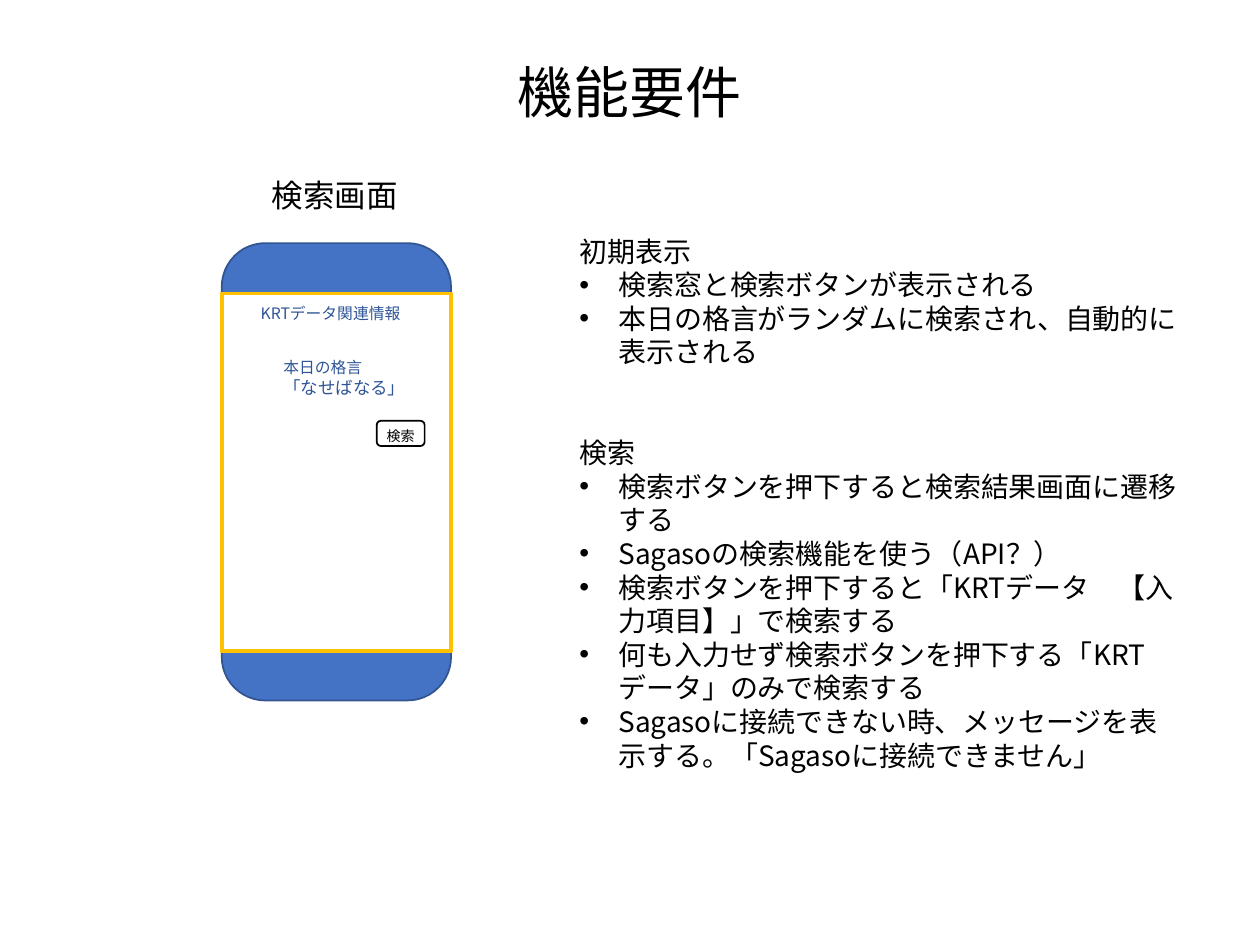
import pptx
import pptx.util
import pptx.dml.color
import pptx.enum.shapes
import pptx.enum.text
from lxml import etree
from pptx.oxml.ns import qn

FONT = "Noto Sans CJK JP"
LINE_FACTOR = 1.2
INDENT = 0.31
Inches, Pt = pptx.util.Inches, pptx.util.Pt
Shape = pptx.enum.shapes.MSO_SHAPE
Align = pptx.enum.text.PP_ALIGN

# Content
TITLE = "機能要件"
SECTIONS = [
    ("初期表示", [
        "検索窓と検索ボタンが表示される",
        "本日の格言がランダムに検索され、自動的に表示される",
    ]),
    ("検索", [
        "検索ボタンを押下すると検索結果画面に遷移する",
        "Sagaso の検索機能を使う（API？）".replace(" ", ""),
        "検索ボタンを押下すると「KRTデータ\u3000【入力項目】」で検索する".replace("\u3000", "　"),
        "何も入力せず検索ボタンを押下する「KRTデータ」のみで検索する",
        "Sagasoに接続できない時、メッセージを表示する。「Sagasoに接続できません」",
    ]),
]
# Phone parts: preset, left, top, width, height, fill, line, line width, corner
PHONE = [
    (Shape.ROUNDED_RECTANGLE, 1.76, 1.93, 1.82, 3.63, "4472C4", "325491", 1, 0.19),
    (Shape.RECTANGLE, 1.76, 2.33, 1.82, 2.84, "FFFFFF", "FFC000", 2.25, None),
    (Shape.ROUNDED_RECTANGLE, 2.99, 3.34, 0.38, 0.2, "FFFFFF", "000000", 1, None),
]
# Labels: left, top, width, height, colour, lines of (text, size)
LABELS = [
    (2.06, 1.35, 1.21, 0.4, "000000", [("検索画面", 18)]),
    (2.97, 3.34, 0.43, 0.24, "000000", [("検索", 8)]),
    (1.97, 2.36, 1.37, 0.25, "2F5597", [("KRTデータ関連情報", 9)]),
    (2.15, 2.79, 1.18, 0.42, "2F5597", [("本日の格言", 9), ("「なせばなる」", 10)]),
]


def colour(value):
    return pptx.dml.color.RGBColor.from_string(value)


def place(box, left, top, width, height):
    box.left, box.top = Inches(left), Inches(top)
    box.width, box.height = Inches(width), Inches(height)


def prepare(box, wrap):
    frame = box.text_frame
    frame.word_wrap = wrap
    frame.auto_size = pptx.enum.text.MSO_AUTO_SIZE.NONE
    frame.vertical_anchor = pptx.enum.text.MSO_ANCHOR.TOP
    return frame


def write(paragraph, text, size, value="000000", align=Align.LEFT):
    paragraph.alignment = align
    paragraph.line_spacing = Pt(size * LINE_FACTOR)
    span = paragraph.add_run()
    span.text = text
    span.font.size = Pt(size)
    span.font.name = FONT
    span.font.color.rgb = colour(value)
    etree.SubElement(span.font._element, qn("a:ea"), typeface=FONT)


def add_bullet(paragraph):
    properties = paragraph._p.get_or_add_pPr()
    properties.set("marL", str(Inches(INDENT)))
    properties.set("indent", str(-Inches(INDENT)))
    etree.SubElement(properties, qn("a:buFont"), typeface="Arial")
    etree.SubElement(properties, qn("a:buChar"), char="•")


deck = pptx.Presentation()
deck.slide_width, deck.slide_height = Inches(10), Inches(7.5)
page = deck.slides.add_slide(deck.slide_layouts[5])

# Title
title = page.shapes.title
place(title, 4, 0.41, 2, 0.64)
write(prepare(title, False).paragraphs[0], TITLE, 32, align=Align.CENTER)

# Requirements
box = page.shapes.add_textbox(0, 0, 0, 0)
place(box, 4.5, 1.81, 5.01, 4.41)
frame = prepare(box, True)
for number, (heading, items) in enumerate(SECTIONS):
    paragraph = frame.add_paragraph() if number else frame.paragraphs[0]
    write(paragraph, heading, 16)
    if number:
        paragraph.space_before = Pt(2 * 16 * LINE_FACTOR)
    for item in items:
        paragraph = frame.add_paragraph()
        write(paragraph, item, 16)
        add_bullet(paragraph)

# Phone
for preset, left, top, width, height, fill, line, weight, corner in PHONE:
    part = page.shapes.add_shape(preset, 0, 0, 0, 0)
    place(part, left, top, width, height)
    part.shadow.inherit = False
    part.fill.solid()
    part.fill.fore_color.rgb = colour(fill)
    part.line.color.rgb = colour(line)
    part.line.width = Pt(weight)
    if corner:
        part.adjustments[0] = corner

# Labels
for left, top, width, height, value, lines in LABELS:
    box = page.shapes.add_textbox(0, 0, 0, 0)
    place(box, left, top, width, height)
    frame = prepare(box, False)
    for number, (text, size) in enumerate(lines):
        paragraph = frame.add_paragraph() if number else frame.paragraphs[0]
        write(paragraph, text, size, value)

deck.save("out.pptx")
